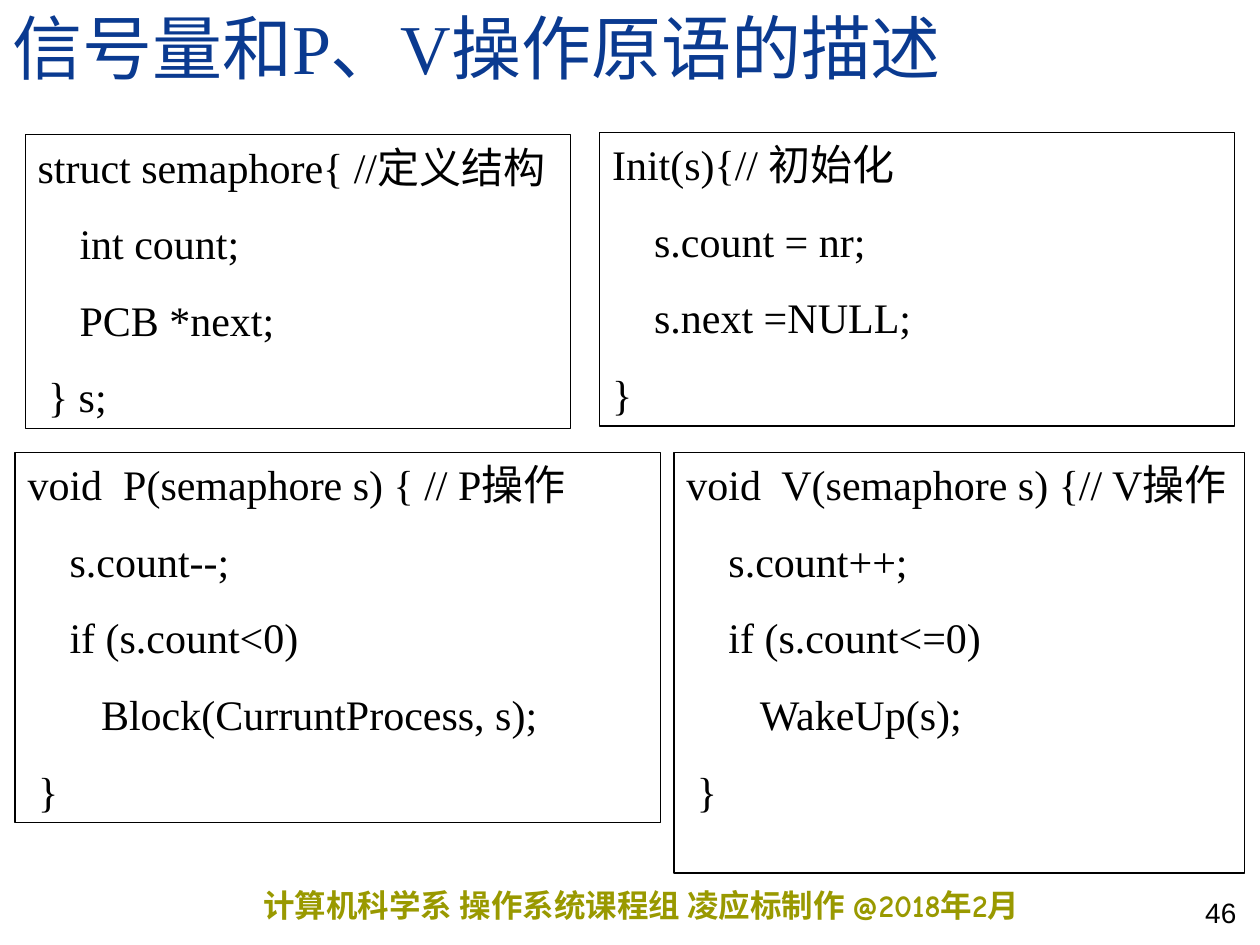
from pptx import Presentation
from pptx.dml.color import RGBColor
from pptx.enum.shapes import MSO_SHAPE
from pptx.enum.text import MSO_ANCHOR, MSO_AUTO_SIZE, PP_ALIGN
from pptx.util import Inches, Pt

BLACK = RGBColor(0x00, 0x00, 0x00)
NAVY = RGBColor(0x0A, 0x3A, 0x90)
OLIVE = RGBColor(0x99, 0x99, 0x00)
SERIF = "Times New Roman"
WIDTH, HEIGHT = Inches(10), Inches(7.5)
CODE_SIZE = 24
SPACE = Pt(CODE_SIZE / 4)

CODE_BOXES = [
    ((2, 14.27, 43.3, 31.07), [
        (0, "struct semaphore{ //定义结构"), (4, "int count;"),
        (4, "PCB *next;"), (1, "} s;")]),
    ((1.2, 47.87, 51.2, 39.2), [
        (0, "void  P(semaphore s) { // P操作"), (4, "s.count--;"),
        (4, "if (s.count<0)"), (7, "Block(CurruntProcess, s);"), (1, "}")]),
    ((53.5, 47.87, 45.3, 44.53), [
        (0, "void  V(semaphore s) {// V操作"), (4, "s.count++;"),
        (4, "if (s.count<=0)"), (7, "WakeUp(s);"), (1, "}")]),
    ((47.6, 14, 50.4, 31.07), [
        (0, "Init(s){// 初始化"), (4, "s.count = nr;"),
        (4, "s.next =NULL;"), (0, "}")]),
]


def place(box):
    """Turn a box in percent of the slide into lengths."""
    return [round(share * side / 100)
            for share, side in zip(box, (WIDTH, HEIGHT) * 2)]


def style(p, size, name, color, bold=False):
    """Set the font of a paragraph."""
    font = p.font
    font.size, font.name, font.bold = Pt(size), name, bold
    font.color.rgb = color


def add_label(s, box, text, size, name, color, anchor=MSO_ANCHOR.BOTTOM, bold=False):
    """Add a one-line text box and return its frame and paragraph."""
    tf = s.shapes.add_textbox(*place(box)).text_frame
    tf.word_wrap, tf.vertical_anchor = True, anchor
    p = tf.paragraphs[0]
    p.text = text
    style(p, size, name, color, bold)
    return tf, p


def add_title(s, box):
    """Add the slide title."""
    _, p = add_label(s, box, "信号量和P、V操作原语的描述", 40, SERIF, NAVY)
    p.line_spacing = 0.8


def add_credit(s, box):
    """Add the course line at the foot."""
    tf, p = add_label(s, box, "计算机科学系 操作系统课程组 凌应标制作 @2018年2月",
                      18, "Comic Neue", OLIVE, MSO_ANCHOR.TOP, True)
    tf.margin_left = tf.margin_right = 0
    p.space_before = Pt(11.2)


def add_number(s, box):
    """Add the slide number."""
    _, p = add_label(s, box, "46", 16, "Arial", BLACK)
    p.alignment = PP_ALIGN.RIGHT


def add_code(s, box, lines):
    """Add an outlined box of code with indented lines."""
    sp = s.shapes.add_shape(MSO_SHAPE.RECTANGLE, *place(box))
    sp.shadow.inherit = False
    sp.fill.background()
    sp.line.color.rgb, sp.line.width = BLACK, Pt(0.75)
    tf = sp.text_frame
    tf.word_wrap, tf.vertical_anchor = True, MSO_ANCHOR.TOP
    tf.auto_size = MSO_AUTO_SIZE.SHAPE_TO_FIT_TEXT
    for i, (indent, text) in enumerate(lines):
        p = tf.add_paragraph() if i else tf.paragraphs[0]
        p.text = text
        p.alignment, p.space_before = PP_ALIGN.LEFT, Pt(15)
        p._p.get_or_add_pPr().set("marL", str(indent * SPACE))
        style(p, CODE_SIZE, SERIF, BLACK)


def main():
    """Build the slide and save it."""
    prs = Presentation()
    prs.slide_width, prs.slide_height = WIDTH, HEIGHT
    s = prs.slides.add_slide(prs.slide_layouts[6])
    add_credit(s, (20.9, 93.07, 73.2, 5.33))
    add_number(s, (83.3, 92.27, 15.8, 6.67))
    add_title(s, (0, 0, 100, 10))
    for box, lines in CODE_BOXES:
        add_code(s, box, lines)
    prs.save("out.pptx")


if __name__ == "__main__":
    main()
